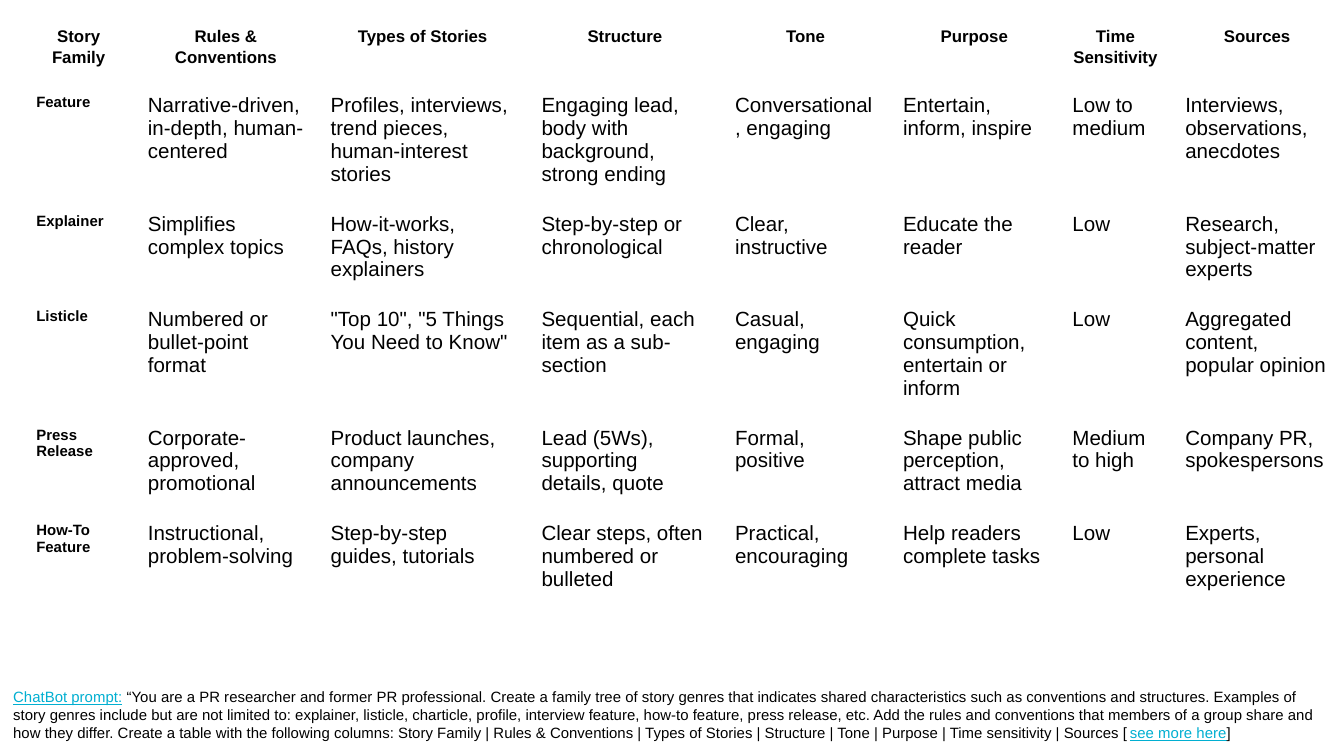
import dataclasses

import pptx
import pptx.dml.color
import pptx.enum.text
import pptx.util


@dataclasses.dataclass(frozen=True)
class Theme:
    """Colours, font and type sizes of the slide."""

    font: str = "Arial"
    ink: str = "000000"
    link: str = "01AFD1"
    header_size: float = 9
    family_size: float = 8
    body_size: float = 11
    prompt_size: float = 8
    header_spacing: float = 1.15
    inset: float = 0.1


THEME = Theme()
SLIDE_WIDTH = pptx.util.Inches(10)
SLIDE_HEIGHT = pptx.util.Emu(SLIDE_WIDTH * 9 // 16)

COLUMN_SHARES = [0.083, 0.136, 0.157, 0.144, 0.125, 0.126, 0.084, 0.127]
ROW_SHARES = [0.073, 0.107, 0.073, 0.14, 0.107, 0.107]
TABLE_BOX = (0.017, 0.014, sum(COLUMN_SHARES), sum(ROW_SHARES))
PROMPT_BOX = (0, 0.892, 0.99, 0.108)

STORY_FAMILIES = [
    ["Story Family", "Rules & Conventions", "Types of Stories", "Structure",
     "Tone", "Purpose", "Time Sensitivity", "Sources"],
    ["Feature", "Narrative-driven, in-depth, human-centered",
     "Profiles, interviews, trend pieces, human-interest stories",
     "Engaging lead, body with background, strong ending",
     "Conversational, engaging", "Entertain, inform, inspire",
     "Low to medium", "Interviews, observations, anecdotes"],
    ["Explainer", "Simplifies complex topics",
     "How-it-works, FAQs, history explainers",
     "Step-by-step or chronological", "Clear, instructive",
     "Educate the reader", "Low", "Research, subject-matter experts"],
    ["Listicle", "Numbered or bullet-point format",
     '"Top 10", "5 Things You Need to Know"',
     "Sequential, each item as a sub-section", "Casual, engaging",
     "Quick consumption, entertain or inform", "Low",
     "Aggregated content, popular opinion"],
    ["Press Release", "Corporate-approved, promotional",
     "Product launches, company announcements",
     "Lead (5Ws), supporting details, quote", "Formal, positive",
     "Shape public perception, attract media", "Medium to high",
     "Company PR, spokespersons"],
    ["How-To Feature", "Instructional, problem-solving",
     "Step-by-step guides, tutorials",
     "Clear steps, often numbered or bulleted", "Practical, encouraging",
     "Help readers complete tasks", "Low", "Experts, personal experience"],
]

PROMPT_RUNS = [
    ("ChatBot prompt:", True),
    (" “You are a PR researcher and former PR professional. Create a family "
     "tree of story genres that indicates shared characteristics such as "
     "conventions and structures. Examples of story genres include but are "
     "not limited to: explainer, listicle, charticle, profile, interview "
     "feature, how-to feature, press release, etc. Add the rules and "
     "conventions that members of a group share and how they differ. Create "
     "a table with the following columns: Story Family | Rules & Conventions "
     "| Types of Stories | Structure | Tone | Purpose | Time sensitivity | "
     "Sources [", False),
    ("see more here", True),
    ("]", False),
]


def to_slide_lengths(box):
    """Turn shares of the slide into left, top, width and height."""
    left, top, width, height = box
    return (int(left * SLIDE_WIDTH), int(top * SLIDE_HEIGHT),
            int(width * SLIDE_WIDTH), int(height * SLIDE_HEIGHT))


def add_run(paragraph, wording, size, bold=False, linked=False):
    """Append one formatted run to a paragraph."""
    run = paragraph.add_run()
    run.text = wording
    run.font.name = THEME.font
    run.font.size = pptx.util.Pt(size)
    run.font.bold = bold
    run.font.underline = linked
    run.font.color.rgb = pptx.dml.color.RGBColor.from_string(
        THEME.link if linked else THEME.ink)


def set_insets(holder):
    """Give a cell or text frame the same inset on every side."""
    inset = pptx.util.Inches(THEME.inset)
    holder.margin_left = holder.margin_right = inset
    holder.margin_top = holder.margin_bottom = inset


def fill_cell(cell, wording, is_header, is_family):
    """Write one cell in the style of its row and column."""
    cell.fill.background()
    set_insets(cell)
    paragraph = cell.text_frame.paragraphs[0]
    size = THEME.family_size if is_family else THEME.body_size
    if is_header:
        size = THEME.header_size
        paragraph.alignment = pptx.enum.text.PP_ALIGN.CENTER
        paragraph.line_spacing = THEME.header_spacing
    add_run(paragraph, wording, size, bold=is_header or is_family)


def add_story_table(slide, box):
    """Place the table of story families in its box."""
    left, top, width, height = to_slide_lengths(box)
    table = slide.shapes.add_table(
        len(ROW_SHARES), len(COLUMN_SHARES), left, top, width, height).table
    table.first_row = False
    table.horz_banding = False
    for column, share in zip(table.columns, COLUMN_SHARES):
        column.width = int(width * share / sum(COLUMN_SHARES))
    for row, share in zip(table.rows, ROW_SHARES):
        row.height = int(height * share / sum(ROW_SHARES))
    for row_index, family in enumerate(STORY_FAMILIES):
        for column_index, wording in enumerate(family):
            fill_cell(table.cell(row_index, column_index), wording,
                      row_index == 0, column_index == 0)


def add_prompt(slide, box):
    """Place the prompt note in its box."""
    frame = slide.shapes.add_textbox(*to_slide_lengths(box)).text_frame
    frame.word_wrap = True
    frame.auto_size = pptx.enum.text.MSO_AUTO_SIZE.SHAPE_TO_FIT_TEXT
    set_insets(frame)
    for wording, linked in PROMPT_RUNS:
        add_run(frame.paragraphs[0], wording, THEME.prompt_size, linked=linked)


def main():
    """Build and save the slide."""
    presentation = pptx.Presentation()
    presentation.slide_width = SLIDE_WIDTH
    presentation.slide_height = SLIDE_HEIGHT
    slide = presentation.slides.add_slide(presentation.slide_layouts[6])
    add_story_table(slide, TABLE_BOX)
    add_prompt(slide, PROMPT_BOX)
    presentation.save("out.pptx")


if __name__ == "__main__":
    main()
